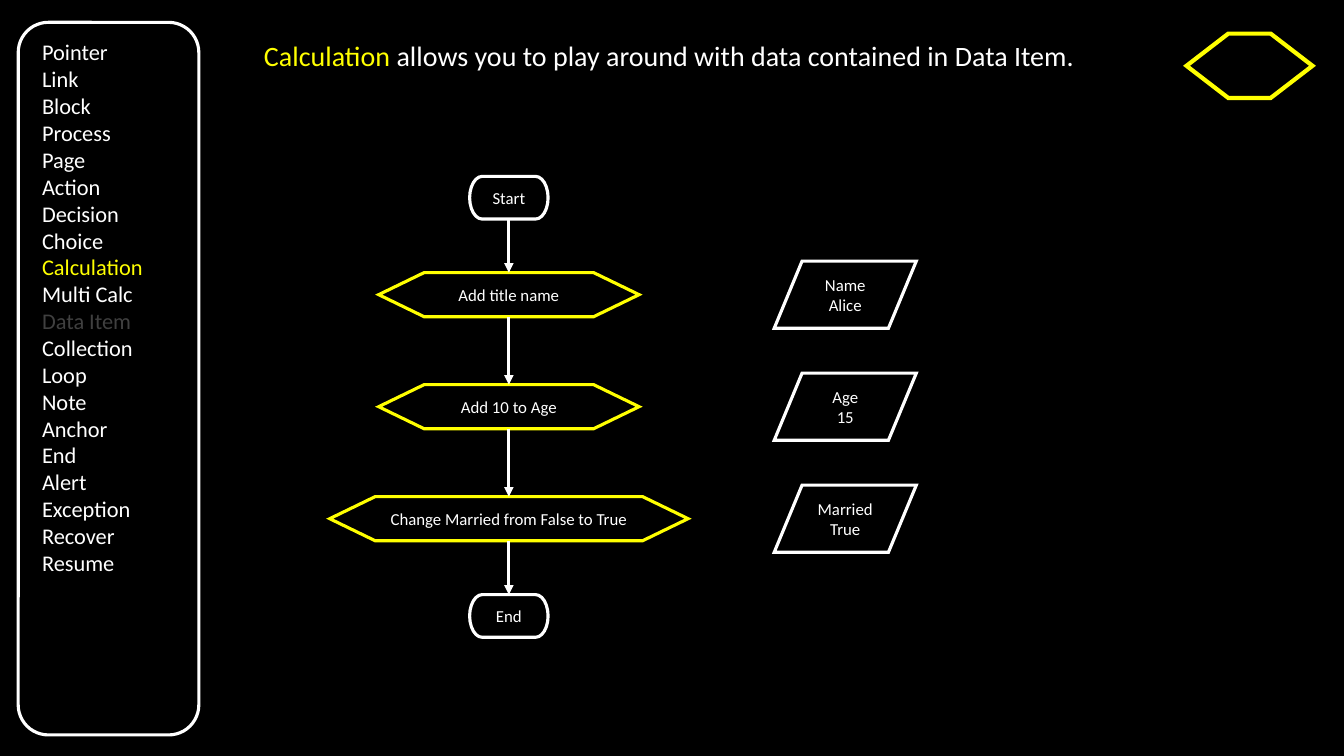
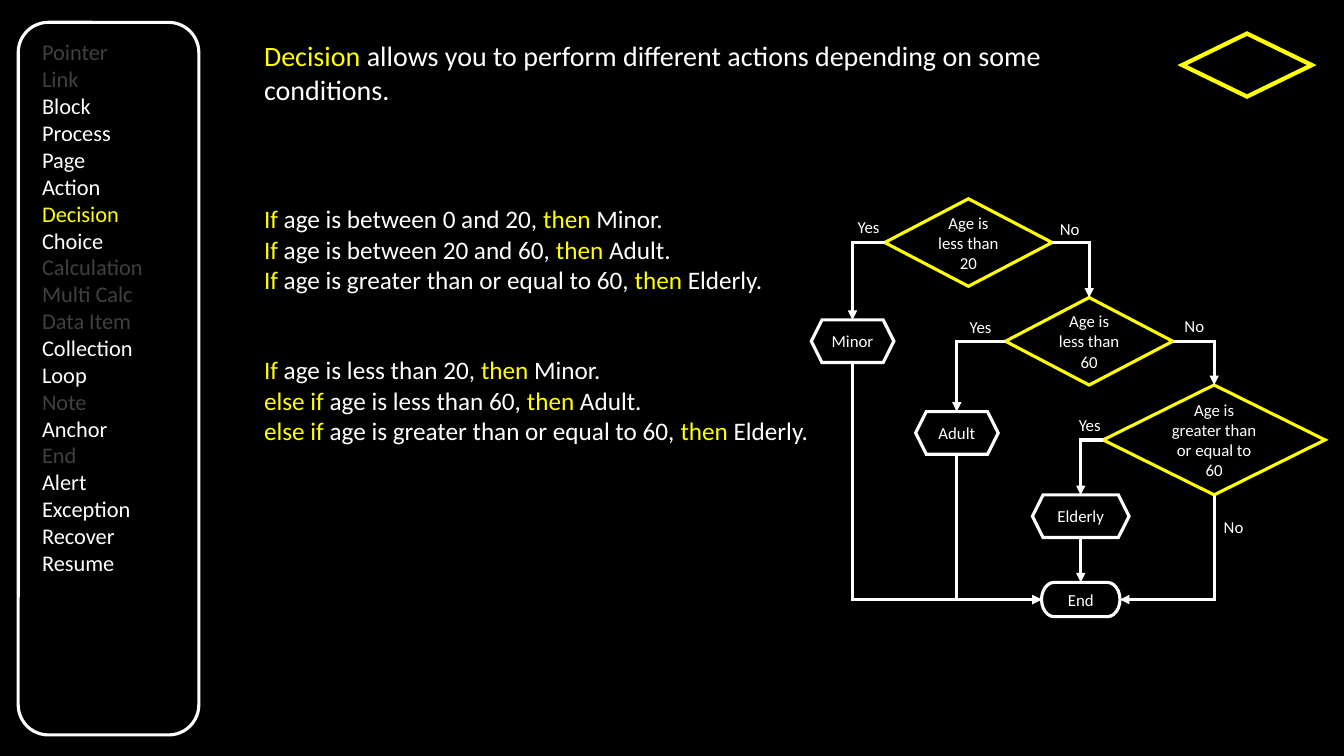
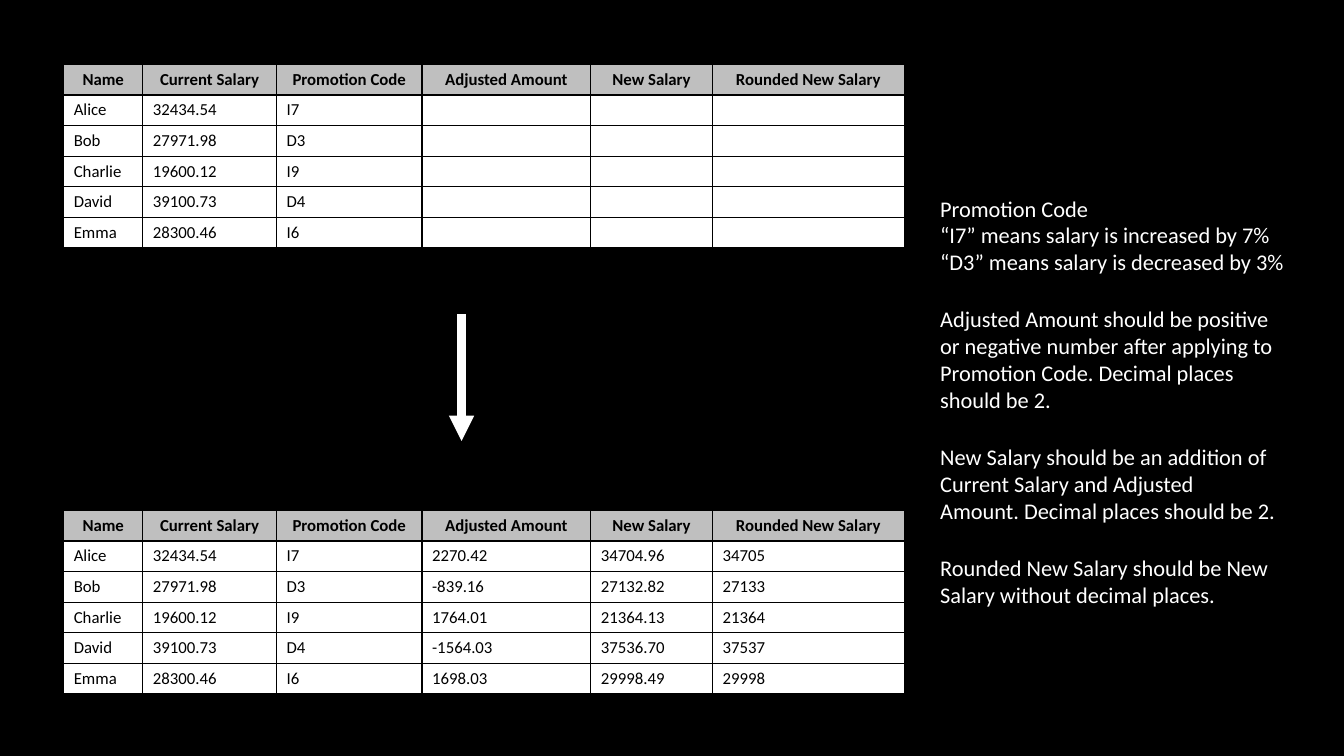
import dataclasses
import itertools

import lxml.etree
import pptx
import pptx.dml.color
import pptx.enum.shapes
import pptx.enum.text
import pptx.oxml.ns
import pptx.util

Pt = pptx.util.Pt
SHAPE = pptx.enum.shapes.MSO_SHAPE
CONNECTOR = pptx.enum.shapes.MSO_CONNECTOR
ALIGN = pptx.enum.text.PP_ALIGN
ANCHOR = pptx.enum.text.MSO_ANCHOR
AUTO_SIZE = pptx.enum.text.MSO_AUTO_SIZE
TOP, LEFT, BOTTOM, RIGHT = range(4)


@dataclasses.dataclass(frozen=True)
class Theme:
    font: str = "Calibri"
    ground: str = "000000"
    ink: str = "FFFFFF"
    accent: str = "FFFF00"
    dim: str = "404040"
    header: str = "BFBFBF"
    title: int = 20
    rule: int = 18
    body: int = 16
    small: int = 12
    outline: float = 2.25
    icon_outline: float = 3
    big_arrow: float = 6


THEME = Theme()

STAGES = [
    "Pointer", "Link", "Block", "Process", "Page", "Action", "Decision",
    "Choice", "Calculation", "Multi Calc", "Data Item", "Collection", "Loop",
    "Note", "Anchor", "End", "Alert", "Exception", "Recover", "Resume",
]
RULES = [
    "*If* age is between 0 and 20, *then* Minor.",
    "*If* age is between 20 and 60, *then* Adult.",
    "*If* age is greater than or equal to 60, *then* Elderly.",
    "*If* age is less than 20, *then* Minor.",
    "*else if* age is less than 60, *then* Adult.",
    "*else if* age is greater than or equal to 60, *then* Elderly.",
]
SALARY_HEADER = ["Name", "Current Salary", "Promotion Code",
                 "Adjusted Amount", "New Salary", "Rounded New Salary"]
SALARY_WIDTHS = [56.5, 95.5, 104, 120.5, 87, 137]
SALARIES = [
    ["Alice", "32434.54", "I7", "2270.42", "34704.96", "34705"],
    ["Bob", "27971.98", "D3", "-839.16", "27132.82", "27133"],
    ["Charlie", "19600.12", "I9", "1764.01", "21364.13", "21364"],
    ["David", "39100.73", "D4", "-1564.03", "37536.70", "37537"],
    ["Emma", "28300.46", "I6", "1698.03", "29998.49", "29998"],
]
NOTES = [
    (135.5, 65.5, ["Promotion Code",
                   "“I7” means salary is increased by 7%",
                   "“D3” means salary is decreased by 3%"]),
    (214.5, 85, ["Adjusted Amount should be positive or negative number after "
                 "applying to Promotion Code. Decimal places should be 2."]),
    (313, 65.5, ["New Salary should be an addition of Current Salary and "
                 "Adjusted Amount. Decimal places should be 2."]),
    (392.5, 46, ["Rounded New Salary should be New Salary without decimal places."]),
]


def rgb(color):
    return pptx.dml.color.RGBColor.from_string(color)


def points(*values):
    return [Pt(value) for value in values]


def assign(target, formats):
    for name, value in formats.items():
        setattr(target, name, value)


def add_element(parent, tag, **attributes):
    return lxml.etree.SubElement(parent, pptx.oxml.ns.qn(tag), attributes)


def marked(text, color=THEME.ink):
    return [(part, THEME.accent if index % 2 else color)
            for index, part in enumerate(text.split("*")) if part]


def write(frame, paragraphs, size, align=ALIGN.LEFT, bold=False):
    for index, parts in enumerate(paragraphs):
        paragraph = frame.add_paragraph() if index else frame.paragraphs[0]
        paragraph.alignment = align
        for text, color in parts:
            run = paragraph.add_run()
            run.text = text
            assign(run.font, {"name": THEME.font, "size": Pt(size), "bold": bold})
            run.font.color.rgb = rgb(color)


def add_text(slide, box, paragraphs, size, wrap=True):
    frame = slide.shapes.add_textbox(*points(*box)).text_frame
    assign(frame, {"word_wrap": wrap, "auto_size": AUTO_SIZE.SHAPE_TO_FIT_TEXT})
    write(frame, paragraphs, size)
    return frame


def set_line(line, color, width):
    line.color.rgb = rgb(color)
    line.width = Pt(width)
    outline = line._get_or_add_ln()
    add_element(outline, "a:miter", lim="800000")
    return outline


def add_node(slide, kind, box, lines=(), color=THEME.ink,
             width=THEME.outline, adjustment=None):
    node = slide.shapes.add_shape(kind, *points(*box))
    node.shadow.inherit = False
    node.fill.background()
    set_line(node.line, color, width)
    if adjustment is not None:
        node.adjustments[0] = adjustment
    assign(node.text_frame, {"word_wrap": True, "vertical_anchor": ANCHOR.MIDDLE})
    write(node.text_frame, [marked(line) for line in lines], THEME.small, ALIGN.CENTER)
    return node


def middle(node, side):
    left, top, width, height = (
        length.pt for length in (node.left, node.top, node.width, node.height))
    return [(left + width / 2, top), (left, top + height / 2),
            (left + width / 2, top + height), (left + width, top + height / 2)][side]


def add_arrow(slide, begin, end, width=THEME.outline, kind=CONNECTOR.STRAIGHT):
    arrow = slide.shapes.add_connector(kind, *points(*begin, *end))
    outline = set_line(arrow.line, THEME.ink, width)
    add_element(outline, "a:tailEnd", type="triangle")
    add_element(arrow._element.spPr, "a:effectLst")
    return arrow


def add_down_arrow(slide, source, target):
    arrow = add_arrow(slide, middle(source, BOTTOM), middle(target, TOP))
    if source.auto_shape_type == SHAPE.FLOWCHART_TERMINATOR:
        arrow.begin_connect(source, BOTTOM)
    if target.auto_shape_type == SHAPE.FLOWCHART_TERMINATOR:
        arrow.end_connect(target, TOP)


def add_elbow(slide, source, source_side, target, target_side):
    begin, end = middle(source, source_side), middle(target, target_side)
    rotation = 0
    if source_side == BOTTOM:
        center_x, center_y = (begin[0] + end[0]) / 2, (begin[1] + end[1]) / 2
        half_run, half_drop = abs(end[0] - begin[0]) / 2, (end[1] - begin[1]) / 2
        rightward = end[0] > begin[0]
        rotation = 270 if rightward else 90
        reach = half_drop if rightward else -half_drop
        begin = center_x + reach, center_y - half_run
        end = center_x - reach, center_y + half_run
    properties = add_arrow(slide, begin, end, kind=CONNECTOR.ELBOW)._element.spPr
    properties.find(pptx.oxml.ns.qn("a:prstGeom")).set("prst", "bentConnector2")
    if rotation:
        properties.find(pptx.oxml.ns.qn("a:xfrm")).set("rot", str(rotation * 60000))


def add_sidebar(slide, current, dimmed):
    colors = {**dict.fromkeys(dimmed, THEME.dim), current: THEME.accent}
    stages = [[(stage, colors.get(stage, THEME.ink))] for stage in STAGES]
    add_text(slide, (23, 24, 87, 395), stages, THEME.body, wrap=False)
    add_node(slide, SHAPE.ROUNDED_RECTANGLE, (13, 16, 129, 509))


def add_title(slide, text, width, height):
    add_text(slide, (181.5, 24, width, height), [marked(text)], THEME.title)


def add_salary_table(slide, top, shown_columns):
    row_height = 21.6
    rows = [SALARY_HEADER] + [
        [value if column < shown_columns else "" for column, value in enumerate(row)]
        for row in SALARIES]
    table = slide.shapes.add_table(
        len(rows), len(SALARY_HEADER),
        *points(45.5, top, sum(SALARY_WIDTHS), row_height * len(rows))).table
    table.horz_banding = False
    for column, width in zip(table.columns, SALARY_WIDTHS):
        column.width = Pt(width)
    for row_index, values in enumerate(rows):
        table.rows[row_index].height = Pt(row_height)
        for column_index, value in enumerate(values):
            fill_cell(table.cell(row_index, column_index), value, row_index == 0)


def fill_cell(cell, value, is_header):
    properties = cell._tc.get_or_add_tcPr()
    for side in ("L", "R", "T", "B"):
        border = add_element(properties, "a:ln" + side, w=str(Pt(1)))
        add_element(add_element(border, "a:solidFill"), "a:srgbClr", val=THEME.ground)
    cell.fill.solid()
    cell.fill.fore_color.rgb = rgb(THEME.header if is_header else THEME.ink)
    if value:
        write(cell.text_frame, [[(value, THEME.ground)]], THEME.small,
              ALIGN.CENTER if is_header else ALIGN.LEFT, is_header)
    else:
        ending = cell.text_frame.paragraphs[0]._p.get_or_add_endParaRPr()
        ending.set("sz", str(THEME.small * 100))


def build_calculation(slide):
    add_sidebar(slide, "Calculation", ["Data Item"])
    add_title(slide, "*Calculation* allows you to play around with data contained "
              "in Data Item.", 684, 31.5)
    add_node(slide, SHAPE.HEXAGON, (847.5, 24, 90, 46), color=THEME.accent,
             width=THEME.icon_outline, adjustment=0.65)

    center, pitch = 363.5, 80
    steps = [("Add title name", 186, ["Name", "Alice"]),
             ("Add 10 to Age", 186, ["Age", "15"]),
             ("Change Married from False to True", 256, ["Married", "True"])]
    flow = [add_node(slide, SHAPE.FLOWCHART_TERMINATOR, (center - 28, 126, 56, 30.5),
                     ["Start"])]
    for index, (calculation, width, data_item) in enumerate(steps):
        offset = index * pitch
        flow.append(add_node(
            slide, SHAPE.HEXAGON, (center - width / 2, 194.75 + offset, width, 31.5),
            [calculation], THEME.accent, adjustment=1.03))
        add_node(slide, SHAPE.PARALLELOGRAM, (553, 186.5 + offset, 101.5, 48),
                 data_item, adjustment=0.415)
    flow.append(add_node(slide, SHAPE.FLOWCHART_TERMINATOR,
                         (center - 28, 424.75, 56, 30.5), ["End"]))
    for source, target in itertools.pairwise(flow):
        add_down_arrow(slide, source, target)


def build_decision(slide):
    add_sidebar(slide, "Decision", ["Pointer", "Link", "Calculation", "Multi Calc",
                                    "Data Item", "Note", "End"])
    add_title(slide, "*Decision* allows you to perform different actions depending "
              "on some conditions.", 618.5, 55.5)
    add_node(slide, SHAPE.DIAMOND, (844.5, 24, 92.5, 45), color=THEME.accent,
             width=THEME.icon_outline)
    rules = add_text(slide, (181.5, 142, 408, 181.5), [marked(rule) for rule in RULES],
                     THEME.rule, wrap=False)
    rules.paragraphs[3].space_before = Pt(43)

    below_20, below_60, from_60 = [
        add_node(slide, SHAPE.DIAMOND, box, [question], THEME.accent)
        for question, box in [
            ("Age is less than 20", (632, 142, 119.5, 62.5)),
            ("Age is less than 60", (718.25, 212.5, 119.5, 62.5)),
            ("Age is greater than or equal to 60", (788, 275, 158.5, 78.5))]]
    minor, adult, elderly = [
        add_node(slide, SHAPE.HEXAGON, box, [group])
        for group, box in [("Minor", (579.5, 228.5, 59, 30.5)),
                           ("Adult", (654, 294, 59, 30.5)),
                           ("Elderly", (737.5, 353.5, 69, 30.5))]]
    end = add_node(slide, SHAPE.FLOWCHART_TERMINATOR, (744, 416, 56, 24.5), ["End"])

    for route in [(below_20, LEFT, minor, TOP), (below_20, RIGHT, below_60, TOP),
                  (below_60, LEFT, adult, TOP), (below_60, RIGHT, from_60, TOP),
                  (from_60, LEFT, elderly, TOP), (from_60, BOTTOM, end, RIGHT),
                  (minor, BOTTOM, end, LEFT), (adult, BOTTOM, end, LEFT)]:
        add_elbow(slide, *route)
    add_down_arrow(slide, elderly, end)

    for answer, left, top in [("Yes", 605.5, 151.5), ("No", 750, 152.5),
                              ("Yes", 685.5, 222.5), ("No", 839, 222),
                              ("Yes", 763.5, 292.5), ("No", 867, 365.5)]:
        add_text(slide, (left, top, 30, 21.5), [marked(answer)], THEME.small, wrap=False)


def build_salaries(slide):
    add_salary_table(slide, 46, shown_columns=3)
    add_salary_table(slide, 364.5, shown_columns=6)
    add_arrow(slide, (329.75, 224.5), (329.75, 315), THEME.big_arrow)
    for top, height, lines in NOTES:
        single_lines = len(lines) > 1
        add_text(slide, (664.5, top, 263 if single_lines else 255, height),
                 [marked(line) for line in lines], THEME.body, wrap=not single_lines)


def main():
    deck = pptx.Presentation()
    assign(deck, {"slide_width": Pt(960), "slide_height": Pt(540)})
    ground = deck.slide_master.background.fill
    ground.solid()
    ground.fore_color.rgb = rgb(THEME.ground)
    for build in (build_calculation, build_decision, build_salaries):
        build(deck.slides.add_slide(deck.slide_layouts[6]))
    deck.save("out.pptx")


if __name__ == "__main__":
    main()
